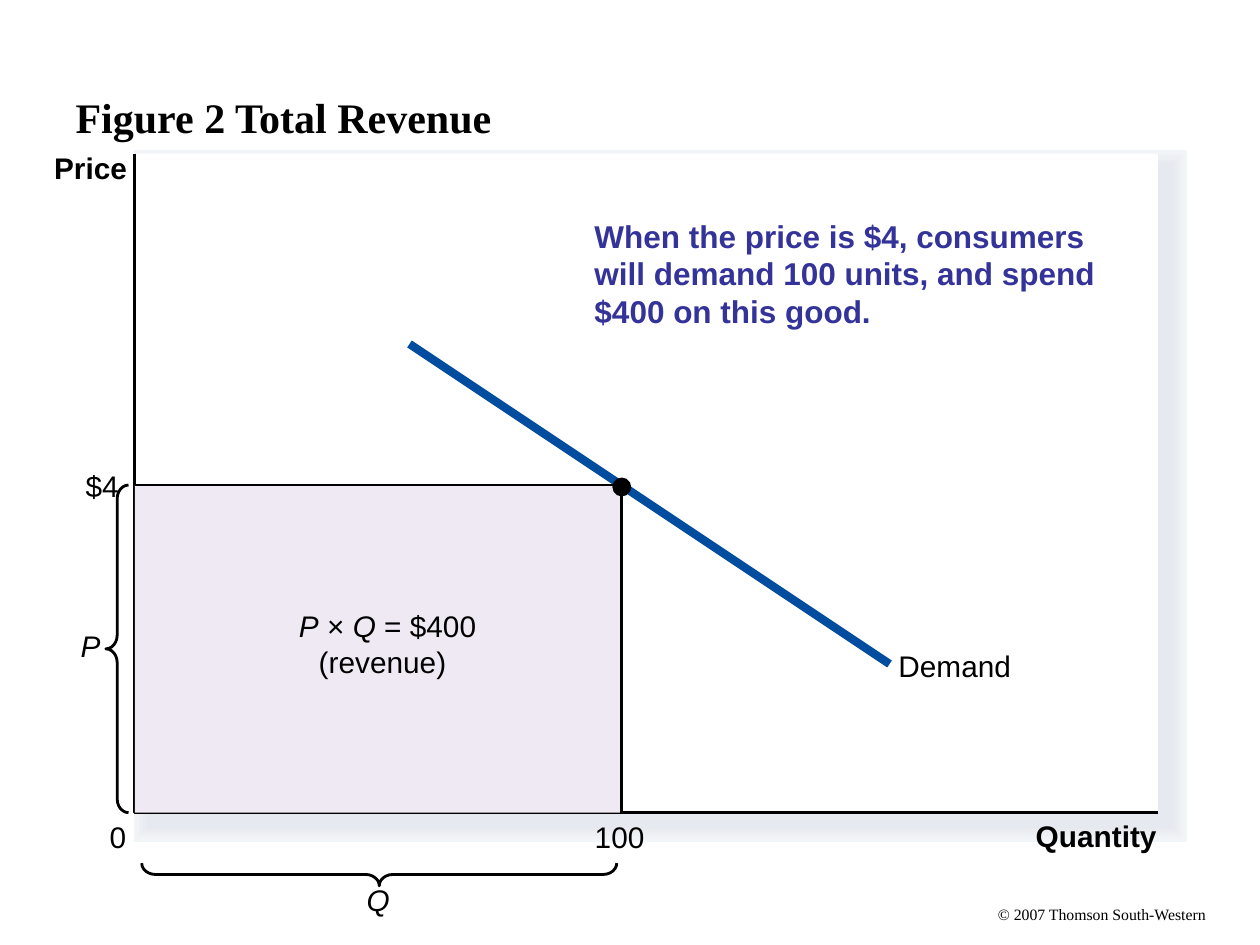
from dataclasses import dataclass

import pptx
import pptx.dml.color
import pptx.enum.shapes
import pptx.enum.text
import pptx.oxml.ns
import pptx.util
from lxml import etree

Inches = pptx.util.Inches
Pt = pptx.util.Pt
Shape = pptx.enum.shapes.MSO_SHAPE
Align = pptx.enum.text.PP_ALIGN

BLACK = "000000"
AXIS_WIDTH = 1.62

# Plot area and the chosen point on the demand curve
LEFT, TOP, WIDTH, HEIGHT = 1.07, 1.22, 8.12, 5.23
RIGHT, BOTTOM = LEFT + WIDTH, TOP + HEIGHT
POINT_X, POINT_Y = 4.93, 3.85
BRACE_DEPTH = 0.18

# Soft frame behind the plot, from the widest outline to the narrowest
HALO_COLOURS = ["F3F6F9", "F2F4F8", "F1F4F7", "F0F2F5", "EEF1F4", "EDEFF3",
                "EBEEF2", "EAECF1", "E9EBF0", "E7EAEF", "E6E9EF"]


@dataclass
class Label:
    text: str
    left: float
    top: float
    width: float
    height: float = 0.34
    size: float = 17
    font: str = "Arial"
    colour: str = BLACK
    bold: bool = False
    italic: bool = False
    inset: tuple[float, float] = (0, 0)


LABELS = [
    Label("Price", 0.43, 1.19, 0.72, bold=True),
    Label("Quantity", 8.22, 6.49, 1.09, bold=True),
    Label("Demand", 7.13, 5.14, 1.01),
    Label("0", 0.87, 6.5, 0.24),
    Label("100", 4.72, 6.5, 0.52),
    Label("$4", 0.68, 3.71, 0.38),
    Label("P", 0.64, 4.98, 0.27, italic=True),
    Label("Q", 2.91, 7, 0.3, italic=True),
    Label("(revenue)", 2.53, 5.11, 1.13),
    Label("When the price is $4, consumers will demand 100 units, and spend "
          "$400 on this good.", 4.62, 1.67, 4.33, 1, size=18,
          colour="333399", bold=True, inset=(0.1, 0.05)),
    Label("© 2007 Thomson South-Western", 7.92, 7.18, 1.8, 0.15, size=9,
          font="Times New Roman"),
]


def rgb(colour: str) -> pptx.dml.color.RGBColor:
    return pptx.dml.color.RGBColor.from_string(colour)


def style_line(line, colour: str, width: float) -> None:
    line.color.rgb = rgb(colour)
    line.width = Pt(width)


def style_font(font, label: Label) -> None:
    font.name = label.font
    font.size = Pt(label.size)
    font.bold = label.bold
    font.color.rgb = rgb(label.colour)


def add_label(page, label: Label):
    box = page.shapes.add_textbox(Inches(label.left), Inches(label.top),
                                  Inches(label.width), Inches(label.height))
    frame = box.text_frame
    frame.word_wrap = True
    frame.margin_left = frame.margin_right = Inches(label.inset[0])
    frame.margin_top = frame.margin_bottom = Inches(label.inset[1])
    para = frame.paragraphs[0]
    style_font(para.font, label)
    para.font.italic = label.italic
    if label.text:
        para.add_run().text = label.text
    return para


def add_filled(page, kind, left: float, top: float, width: float,
               height: float, colour: str, outline: float = 0) -> None:
    shape = page.shapes.add_shape(kind, Inches(left), Inches(top),
                                  Inches(width), Inches(height))
    shape.shadow.inherit = False
    shape.fill.solid()
    shape.fill.fore_color.rgb = rgb(colour)
    if outline:
        style_line(shape.line, colour, outline)
        etree.SubElement(shape.line._get_or_add_ln(),
                         pptx.oxml.ns.qn("a:miter"), lim="800000")
    else:
        shape.line.fill.background()


def add_corner(page, points: list[tuple[float, float]]) -> None:
    start, *others = [(Inches(x), Inches(y)) for x, y in points]
    builder = page.shapes.build_freeform(*start)
    builder.add_line_segments(others, close=False)
    shape = builder.convert_to_shape()
    shape.shadow.inherit = False
    shape.fill.background()
    style_line(shape.line, BLACK, AXIS_WIDTH)


def add_brace(page, centre_x: float, centre_y: float, length: float,
              rotation: float = 0) -> None:
    brace = page.shapes.add_shape(
        Shape.LEFT_BRACE, Inches(centre_x - BRACE_DEPTH / 2),
        Inches(centre_y - length / 2), Inches(BRACE_DEPTH), Inches(length))
    brace.adjustments[0] = 0.6
    brace.rotation = rotation
    brace.shadow.inherit = False
    brace.fill.background()
    style_line(brace.line, BLACK, AXIS_WIDTH)


def add_demand(page) -> None:
    line = page.shapes.add_connector(
        pptx.enum.shapes.MSO_CONNECTOR.STRAIGHT,
        Inches(3.25), Inches(2.73), Inches(7.06), Inches(5.27))
    style_line(line.line, "004C9F", 4.75)
    etree.SubElement(line._element.spPr, pptx.oxml.ns.qn("a:effectLst"))


def main() -> None:
    deck = pptx.Presentation()
    deck.slide_width, deck.slide_height = Inches(10), Inches(7.5)
    page = deck.slides.add_slide(deck.slide_layouts[5])

    # Title
    title = page.shapes.title
    title.left, title.top = Inches(0.5), Inches(0.3)
    title.width, title.height = Inches(9), Inches(1.25)
    title.text_frame.text = "Figure 2 Total Revenue"
    title.text_frame.vertical_anchor = pptx.enum.text.MSO_ANCHOR.MIDDLE
    heading = title.text_frame.paragraphs[0]
    heading.alignment = Align.LEFT
    style_font(heading.font, Label("", 0, 0, 0, size=24, bold=True,
                                   font="Times New Roman"))

    # Frame and plot area
    for step, colour in enumerate(HALO_COLOURS):
        add_filled(page, Shape.RECTANGLE, 1.18, 1.31, WIDTH, 5.25, colour,
                   outline=17.25 - 1.56 * step)
    add_filled(page, Shape.RECTANGLE, LEFT, TOP, WIDTH, HEIGHT, "FFFFFF")
    add_corner(page, [(LEFT, TOP), (LEFT, BOTTOM), (RIGHT, BOTTOM)])

    # Demand curve, revenue area and the point where they meet
    add_demand(page)
    add_filled(page, Shape.RECTANGLE, LEFT, POINT_Y, POINT_X - LEFT,
               BOTTOM - POINT_Y, "EFE9F4")
    add_corner(page, [(POINT_X, BOTTOM), (POINT_X, POINT_Y), (LEFT, POINT_Y)])
    add_filled(page, Shape.OVAL, 4.86, 3.79, 0.15, 0.15, BLACK)

    # Braces for price and quantity
    add_brace(page, 0.93, (POINT_Y + BOTTOM) / 2, BOTTOM - POINT_Y)
    add_brace(page, 3.01, 6.94, 3.77, rotation=270)

    # Labels and the revenue formula
    for label in LABELS:
        add_label(page, label)
    formula = add_label(page, Label("", 2.31, 4.82, 1.47, 0.28))
    formula.alignment = Align.RIGHT
    for text, italic in [("P", True), (" × ", False), ("Q", True),
                         (" = $400", False)]:
        span = formula.add_run()
        span.text = text
        span.font.italic = italic

    deck.save("out.pptx")


if __name__ == "__main__":
    main()
